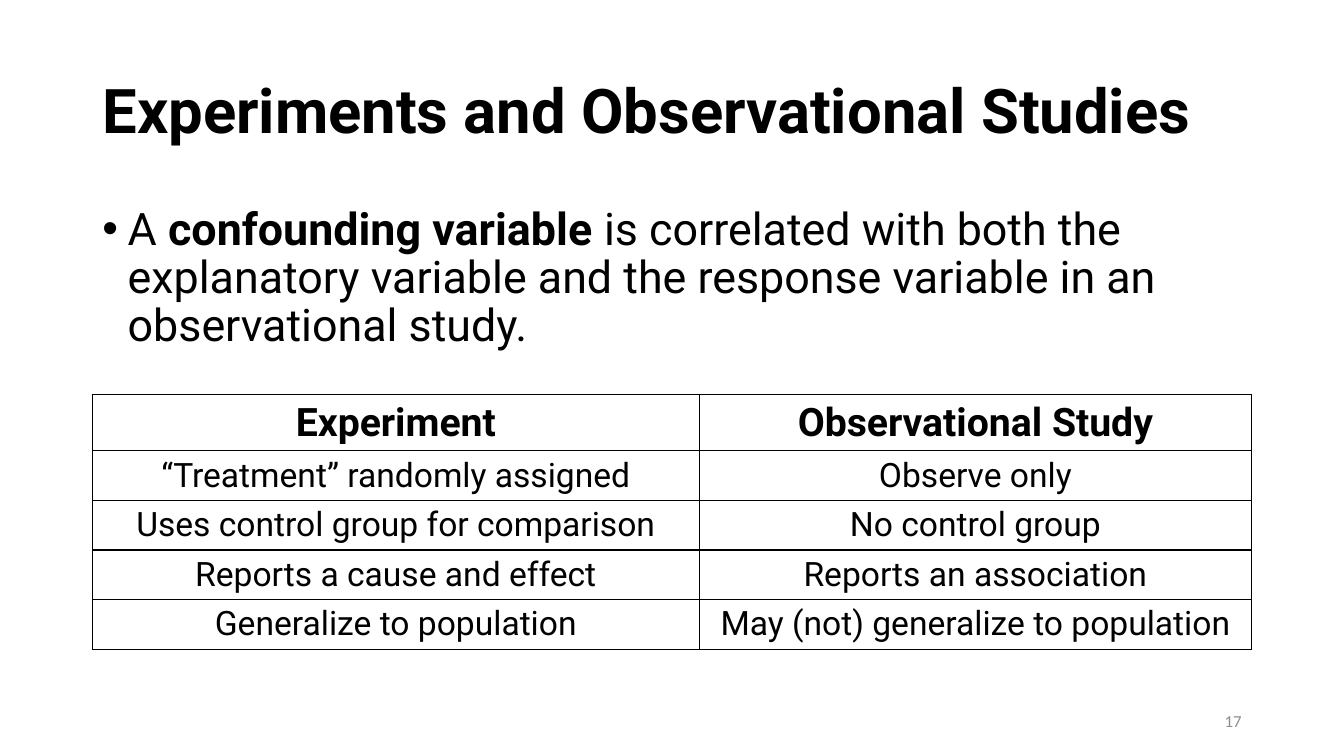
from lxml.etree import SubElement
from pptx import Presentation
from pptx.dml.color import RGBColor
from pptx.enum.text import MSO_ANCHOR, MSO_AUTO_SIZE, PP_ALIGN
from pptx.oxml.ns import qn
from pptx.util import Pt

BLACK = RGBColor(0x00, 0x00, 0x00)
GREY = RGBColor(0x8C, 0x8C, 0x8C)

LEFT, WIDTH = Pt(66), Pt(828)
COLUMN_WIDTHS = (Pt(433.5), Pt(394.5))
HEADER_HEIGHT, ROW_HEIGHT = Pt(40), Pt(35.4)

TITLE = {"name": "Roboto", "size": Pt(44), "bold": True}
BODY = {"name": "Roboto", "size": Pt(32), "bold": False}
HEADING = {"name": "Roboto", "size": Pt(28), "bold": True}
ENTRY = {"name": "Roboto", "size": Pt(24), "bold": False}
NUMBER = {"name": "Calibri", "size": Pt(12), "bold": False}

DEFINITION = (
    ("A ", BODY),
    ("confounding variable ", BODY | {"bold": True}),
    ("is correlated with both the explanatory variable and the response "
     "variable in an observational study.", BODY),
)
COMPARISON = (
    ("Experiment", "Observational Study"),
    ("“Treatment” randomly assigned", "Observe only"),
    ("Uses control group for comparison", "No control group"),
    ("Reports a cause and effect", "Reports an association"),
    ("Generalize to population", "May (not) generalize to population"),
)


def apply(target, values):
    for attribute, value in values.items():
        setattr(target, attribute, value)


def write(paragraph, pieces, color=BLACK, **layout):
    apply(paragraph, layout)
    for text, font in pieces:
        run = paragraph.add_run()
        run.text = text
        apply(run.font, font)
        run.font.color.rgb = color


def place(shape, top, height, anchor):
    apply(shape, {"left": LEFT, "top": top, "width": WIDTH, "height": height})
    apply(shape.text_frame, {"vertical_anchor": anchor, "word_wrap": True,
                             "auto_size": MSO_AUTO_SIZE.NONE})
    return shape.text_frame.paragraphs[0]


def add_bullet(paragraph):
    properties = paragraph._p.get_or_add_pPr()
    properties.set("marL", str(Pt(18)))
    properties.set("indent", str(-Pt(18)))
    SubElement(properties, qn("a:buFont"), typeface="Arial")
    SubElement(properties, qn("a:buChar"), char="•")


def add_borders(cell):
    properties = cell._tc.get_or_add_tcPr()
    for side in ("a:lnL", "a:lnR", "a:lnT", "a:lnB"):
        line = SubElement(properties, qn(side), w=str(Pt(1)))
        fill = SubElement(line, qn("a:solidFill"))
        SubElement(fill, qn("a:srgbClr"), val=str(BLACK))


def add_comparison(slide):
    height = HEADER_HEIGHT + ROW_HEIGHT * (len(COMPARISON) - 1)
    table = slide.shapes.add_table(len(COMPARISON), len(COLUMN_WIDTHS),
                                   LEFT, Pt(282), WIDTH, height).table
    apply(table, {"first_row": False, "horz_banding": False})
    for column, width in zip(table.columns, COLUMN_WIDTHS):
        column.width = width
    for index, (row, texts) in enumerate(zip(table.rows, COMPARISON)):
        row.height = ROW_HEIGHT if index else HEADER_HEIGHT
        for cell, text in zip(row.cells, texts):
            write(cell.text_frame.paragraphs[0],
                  [(text, ENTRY if index else HEADING)],
                  alignment=PP_ALIGN.CENTER)
            add_borders(cell)
            cell.fill.background()


def add_page_number(slide, number):
    box = slide.shapes.add_textbox(Pt(678), Pt(500.5), Pt(216), Pt(28.75))
    apply(box.text_frame, {"word_wrap": True,
                           "vertical_anchor": MSO_ANCHOR.MIDDLE})
    write(box.text_frame.paragraphs[0], [(number, NUMBER)], GREY,
          alignment=PP_ALIGN.RIGHT)


def main():
    deck = Presentation()
    apply(deck, {"slide_width": Pt(960), "slide_height": Pt(540)})
    slide = deck.slides.add_slide(deck.slide_layouts[1])

    # Title
    title = place(slide.shapes.title, Pt(28.75), Pt(104.5), MSO_ANCHOR.MIDDLE)
    write(title, [("Experiments and Observational Studies", TITLE)],
          alignment=PP_ALIGN.LEFT, line_spacing=0.9)

    # Definition
    definition = place(slide.placeholders[1], Pt(143.75), Pt(342.5),
                       MSO_ANCHOR.TOP)
    write(definition, DEFINITION, alignment=PP_ALIGN.LEFT,
          line_spacing=0.9, space_before=Pt(10))
    add_bullet(definition)

    # Comparison table and page number
    add_comparison(slide)
    add_page_number(slide, "17")

    deck.save("out.pptx")


if __name__ == "__main__":
    main()
